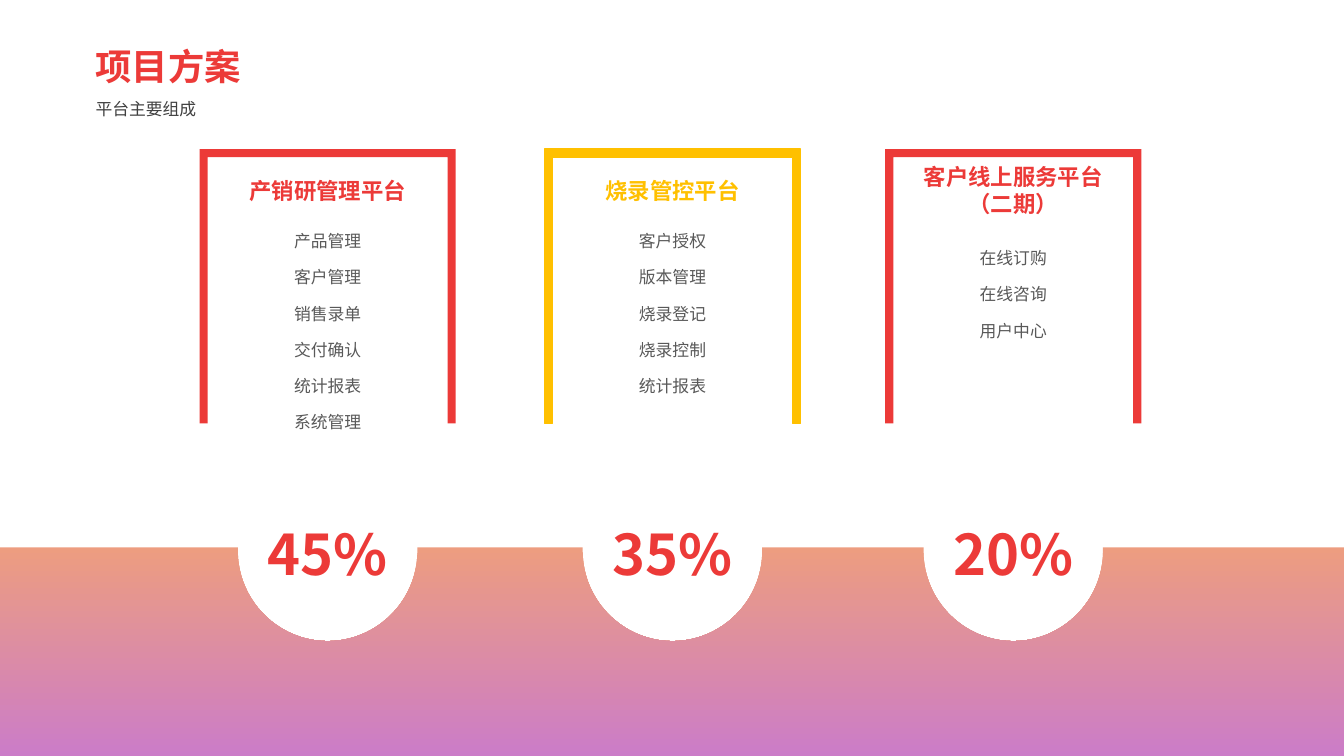
from dataclasses import dataclass

from lxml import etree
from pptx import Presentation, util as u
from pptx.dml import color as dml
from pptx.enum import text
from pptx.oxml import ns

FONT = "Noto Sans CJK SC"
RED, GOLD, GREY, DARK = "EC3A38", "FFC000", "595959", "404040"
FRAME_TOP, FRAME_WIDTH, FRAME_HEIGHT, FRAME_BAR = 1.48, 2.54, 2.72, 0.08
FRAME_MIDDLE = FRAME_WIDTH / 2
BAND_LEFT, BAND_TOP, BAND_RIGHT, BAND_BOTTOM = -0.02, 5.43, 13.35, 7.51
NOTCH_CENTRE, NOTCH_RADIUS, ARC_FACTOR = 5.47, 0.89, 0.55
LIST_WIDTH, PERCENT_WIDTH = 2.2, 1.53

Point = tuple[float, float]


@dataclass
class Platform:
    left: float
    color: str
    heading: str
    heading_top: float
    heading_width: float
    heading_height: float
    items: list[str]
    items_top: float
    items_height: float
    percent: str
    outline: bool = False

    @property
    def centre(self) -> float:
        return self.left + FRAME_MIDDLE


PLATFORMS = [
    Platform(1.98, RED, "产销研管理平台", 1.71, 2.28, 0.37,
             ["产品管理", "客户管理", "销售录单", "交付确认", "统计报表", "系统管理"],
             2.08, 2.28, "45%"),
    Platform(5.4, GOLD, "烧录管控平台", 1.71, 2.64, 0.37,
             ["客户授权", "版本管理", "烧录登记", "烧录控制", "统计报表"],
             2.08, 2.28, "35%", outline=True),
    Platform(8.78, RED, "客户线上服务平台（二期）", 1.57, 2.2, 0.64,
             ["在线订购", "在线咨询", "用户中心"],
             2.25, 1.19, "20%"),
]


def rgb(value: str) -> dml.RGBColor:
    return dml.RGBColor.from_string(value)


def add_text(parent, left: float, top: float, width: float, height: float,
             lines: list[str], size: int, color: str, bold: bool = False,
             align=text.PP_ALIGN.CENTER, spacing: float | None = None) -> None:
    box = parent.shapes.add_textbox(*map(u.Inches, (left, top, width, height)))
    frame = box.text_frame
    frame.word_wrap = True
    frame.auto_size = text.MSO_AUTO_SIZE.SHAPE_TO_FIT_TEXT
    formats = {"name": FONT, "size": u.Pt(size), "bold": bold}
    for index, line in enumerate(lines):
        paragraph = frame.add_paragraph() if index else frame.paragraphs[0]
        paragraph.alignment = align
        paragraph.line_spacing = spacing
        run = paragraph.add_run()
        run.text = line
        for name, value in formats.items():
            setattr(run.font, name, value)
        run.font.color.rgb = rgb(color)
        properties = run._r.get_or_add_rPr()
        etree.SubElement(properties, ns.qn("a:ea"), typeface=FONT)


def add_outline(slide, points: list[Point]):
    corners = [(u.Inches(x), u.Inches(y)) for x, y in points]
    builder = slide.shapes.build_freeform(*corners[0])
    builder.add_line_segments(corners[1:], close=True)
    shape = builder.convert_to_shape()
    shape.shadow.inherit = False
    shape.line.fill.background()
    return shape


def notch(centre: float) -> list[Point]:
    left, right = centre - NOTCH_RADIUS, centre + NOTCH_RADIUS
    return [(left, BAND_TOP), (left, NOTCH_CENTRE),
            (centre, NOTCH_CENTRE + NOTCH_RADIUS),
            (right, NOTCH_CENTRE), (right, BAND_TOP)]


def bend(segment, start: Point, end: Point, downward: bool) -> None:
    (x0, y0), (x1, y1) = start, end
    dx, dy = ARC_FACTOR * (x1 - x0), ARC_FACTOR * (y1 - y0)
    if downward:
        controls = [(x0, y0 + dy), (x1 - dx, y1)]
    else:
        controls = [(x0 + dx, y0), (x1, y1 - dy)]
    segment.tag = ns.qn("a:cubicBezTo")
    for index, (x, y) in enumerate(controls):
        point = etree.Element(ns.qn("a:pt"), x=str(round(x)), y=str(round(y)))
        segment.insert(index, point)


def round_notches(shape) -> None:
    segments = list(shape._element.iter(ns.qn("a:lnTo")))
    ends = [(int(segment[0].get("x")), int(segment[0].get("y")))
            for segment in segments]
    size = len(notch(0))
    for number in range(len(PLATFORMS)):
        for offset, downward in ((2, True), (3, False)):
            index = number * size + offset
            bend(segments[index], ends[index - 1], ends[index], downward)


def add_band(slide) -> None:
    points = [(BAND_LEFT, BAND_TOP)]
    for platform in PLATFORMS:
        points += notch(platform.centre)
    points += [(BAND_RIGHT, BAND_TOP), (BAND_RIGHT, BAND_BOTTOM),
               (BAND_LEFT, BAND_BOTTOM)]
    shape = add_outline(slide, points)
    round_notches(shape)
    shape.fill.gradient()
    shape.fill.gradient_angle = 270
    for stop, position, color in zip(shape.fill.gradient_stops, (0, 1),
                                     ("ED9D80", "CB7CC8")):
        stop.position = position
        stop.color.rgb = rgb(color)


def add_percent(slide, platform: Platform) -> None:
    add_text(slide, platform.centre - PERCENT_WIDTH / 2, 5.11, PERCENT_WIDTH,
             0.77, [platform.percent], 40, RED, bold=True)


def add_frame(slide, platform: Platform) -> None:
    left, right = platform.left, platform.left + FRAME_WIDTH
    bottom = FRAME_TOP + FRAME_HEIGHT
    inner_left, inner_right = left + FRAME_BAR, right - FRAME_BAR
    inner_top = FRAME_TOP + FRAME_BAR
    shape = add_outline(slide, [
        (left, FRAME_TOP), (right, FRAME_TOP), (right, bottom),
        (inner_right, bottom), (inner_right, inner_top),
        (inner_left, inner_top), (inner_left, bottom), (left, bottom)])
    shape.fill.solid()
    shape.fill.fore_color.rgb = rgb(platform.color)
    if platform.outline:
        shape.line.color.rgb = rgb(platform.color)
        shape.line.width = u.Pt(1)


def add_contents(slide, platform: Platform) -> None:
    group = slide.shapes.add_group_shape()
    centre = platform.centre
    add_text(group, centre - LIST_WIDTH / 2, platform.items_top, LIST_WIDTH,
             platform.items_height, platform.items, 12, GREY, spacing=1.8)
    add_text(group, centre - platform.heading_width / 2, platform.heading_top,
             platform.heading_width, platform.heading_height,
             [platform.heading], 16, platform.color, bold=True)


def main() -> None:
    presentation = Presentation()
    presentation.slide_width = u.Inches(13.33)
    presentation.slide_height = u.Inches(7.5)
    slide = presentation.slides.add_slide(presentation.slide_layouts[6])
    left = text.PP_ALIGN.LEFT
    title = slide.shapes.add_group_shape()
    add_text(title, 0.85, 0.39, 2.84, 0.54, ["项目方案"], 26, RED, True, left)
    add_text(title, 0.85, 0.93, 2.84, 0.3, ["平台主要组成"], 12, DARK, align=left)
    add_band(slide)
    for draw in (add_percent, add_frame, add_contents):
        for platform in PLATFORMS:
            draw(slide, platform)
    presentation.save("out.pptx")


if __name__ == "__main__":
    main()
